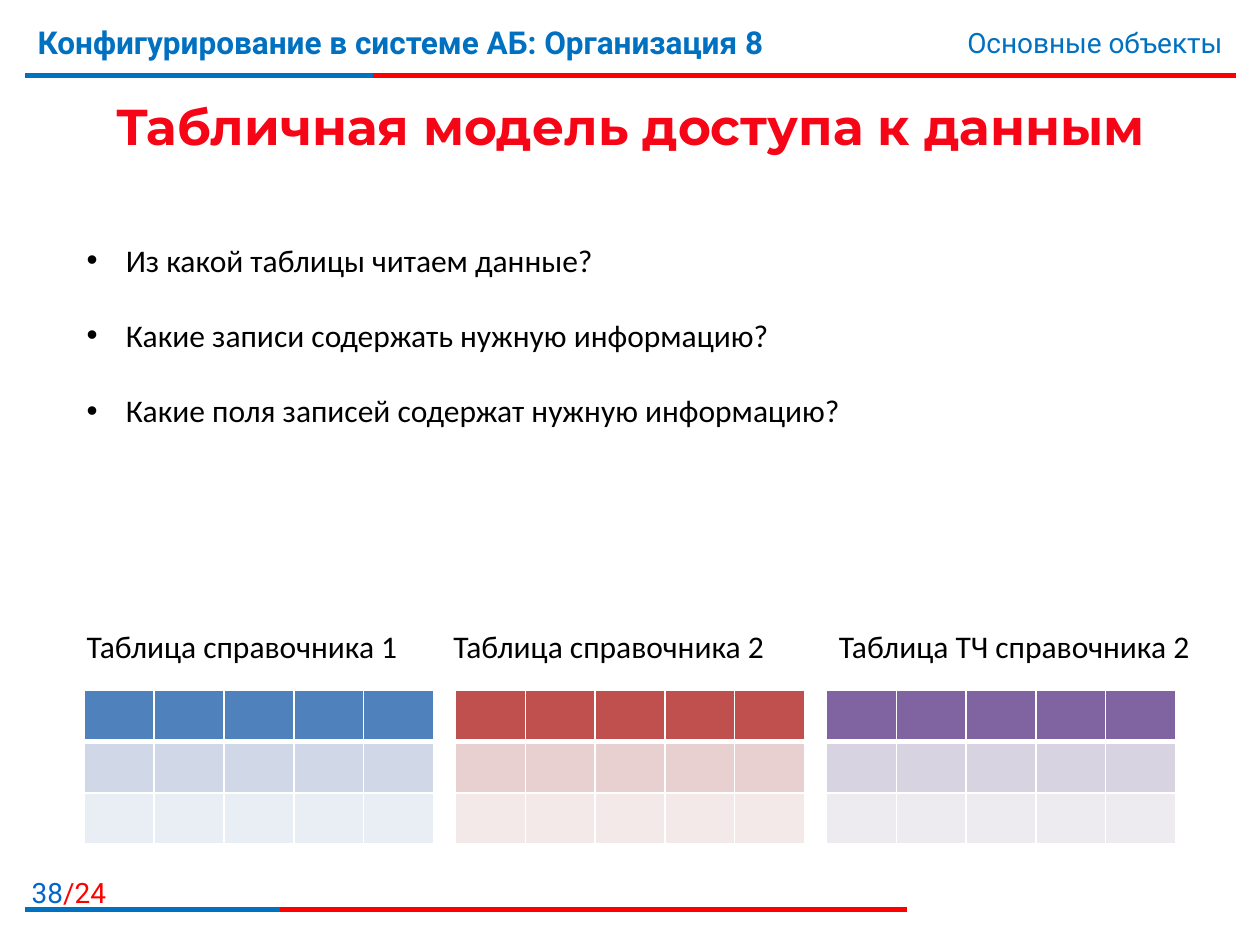
from lxml.etree import SubElement as Sub
from pptx import Presentation
from pptx.dml.color import RGBColor
from pptx.enum.shapes import MSO_CONNECTOR as Conn
from pptx.enum.text import MSO_ANCHOR as Anchor, PP_ALIGN as Align
from pptx.oxml.ns import qn
from pptx.util import Inches, Pt

# Content
BLUE, RED = "0070C0", "FF0000"
TITLE = "Табличная модель доступа к данным"
ASKS = [
    "Из какой таблицы читаем данные?",
    "Какие записи содержать нужную информацию?",
    "Какие поля записей содержат нужную информацию?",
]
HEAD = dict(name="Roboto", size=18, bold=True, color=BLUE)
SIDE = dict(name="Roboto", size=16, color=BLUE)
BODY = dict(name="Calibri", size=18, color="000000")
RULES = [  # y, end of red line, end of blue line
    (0.6, 9.81, 2.96),
    (7.22, 7.2, 2.22),
]
TABLES = [  # caption, its left and width, row fills
    ("Таблица справочника 1", 0.59, 2.76, ("4F81BD", "D0D8E8", "E9EDF4")),
    ("Таблица справочника 2", 3.5, 2.76, ("C0504D", "E8D0D0", "F4E9E9")),
    ("Таблица ТЧ справочника 2", 6.56, 3.08, ("8064A2", "D8D3E0", "EDEAF0")),
]
LEFT, STEP, TOP, COLS = 0.67, 2.945, 5.48, 5
WIDE, HIGH = 2.77, 1.22


def rgb(code):
    return RGBColor.from_string(code)


def style(run, look):
    for key, val in look.items():
        if key == "color":
            run.font.color.rgb = rgb(val)
        else:
            setattr(run.font, key, Pt(val) if key == "size" else val)


def text(box, runs, align=Align.LEFT):
    frame = slide.shapes.add_textbox(*map(Inches, box)).text_frame
    frame.word_wrap = True
    para = frame.paragraphs[0]
    para.alignment = align
    for words, look in runs:
        run = para.add_run()
        run.text = words
        style(run, look)
    return frame


def rule(y, end, color):
    line = slide.shapes.add_connector(
        Conn.STRAIGHT, *map(Inches, (0.2, y, end, y)))
    line.line.color.rgb = rgb(color)
    line.line.width = Pt(3)
    Sub(line._element.spPr, qn("a:effectLst"))


def edge(cell, side, width):
    line = Sub(cell._tc.get_or_add_tcPr(), qn("a:ln" + side), w=str(Pt(width)))
    Sub(Sub(line, qn("a:solidFill")), qn("a:srgbClr"), val="FFFFFF")


def grid(left, fills):
    table = slide.shapes.add_table(
        len(fills), COLS, *map(Inches, (left, TOP, WIDE, HIGH))).table
    table.first_row = table.horz_banding = False
    for r, fill in enumerate(fills):
        for cell in table.rows[r].cells:
            for side in "LRTB":
                thick = (r, side) in ((0, "B"), (1, "T"))
                edge(cell, side, 3 if thick else 1)
            cell.fill.solid()
            cell.fill.fore_color.rgb = rgb(fill)


deck = Presentation()
deck.slide_width, deck.slide_height = Inches(10), Inches(7.5)
slide = deck.slides.add_slide(deck.slide_layouts[5])

# Header and footer
for y, red, blue in RULES:
    rule(y, red, RED)
    rule(y, blue, BLUE)
text((0.2, 0.13, 7.4, 0.62),
     [("Конфигурирование в системе АБ: Организация 8", HEAD)])
text((5.94, 0.15, 3.86, 0.37), [("Основные объекты", SIDE)], Align.RIGHT)
text((-0.1, 6.9, 1.04, 0.32),
     [("38", SIDE | {"color": "0066CC"}), ("/24", SIDE | {"color": RED})],
     Align.RIGHT)

# Title
title = slide.shapes.title
title.left, title.top, title.width, title.height = map(
    Inches, (0.2, 0.6, 9.61, 0.79))
title.text_frame.text = TITLE
title.text_frame.vertical_anchor = Anchor.MIDDLE
para = title.text_frame.paragraphs[0]
para.alignment = Align.CENTER
style(para.runs[0], dict(name="Montserrat", size=28.8, bold=True,
                         color="F50516"))

# Questions
frame = text((0.59, 1.86, 7.4, 1.62), [(ASKS[0], BODY)])
for ask in ASKS[1:]:
    para = frame.add_paragraph()
    para.space_before = Pt(21.5)
    run = para.add_run()
    run.text = ask
    style(run, BODY)
for para in frame.paragraphs:
    props = para._p.get_or_add_pPr()
    props.set("marL", str(Inches(0.31)))
    props.set("indent", str(-Inches(0.31)))
    Sub(props, qn("a:buFont"), typeface="Arial")
    Sub(props, qn("a:buChar"), char="•")

# Tables with captions
for i, (name, left, width, fills) in enumerate(TABLES):
    text((left, 4.93, width, 0.4), [(name, BODY)])
    grid(LEFT + i * STEP, fills)

deck.save("out.pptx")
